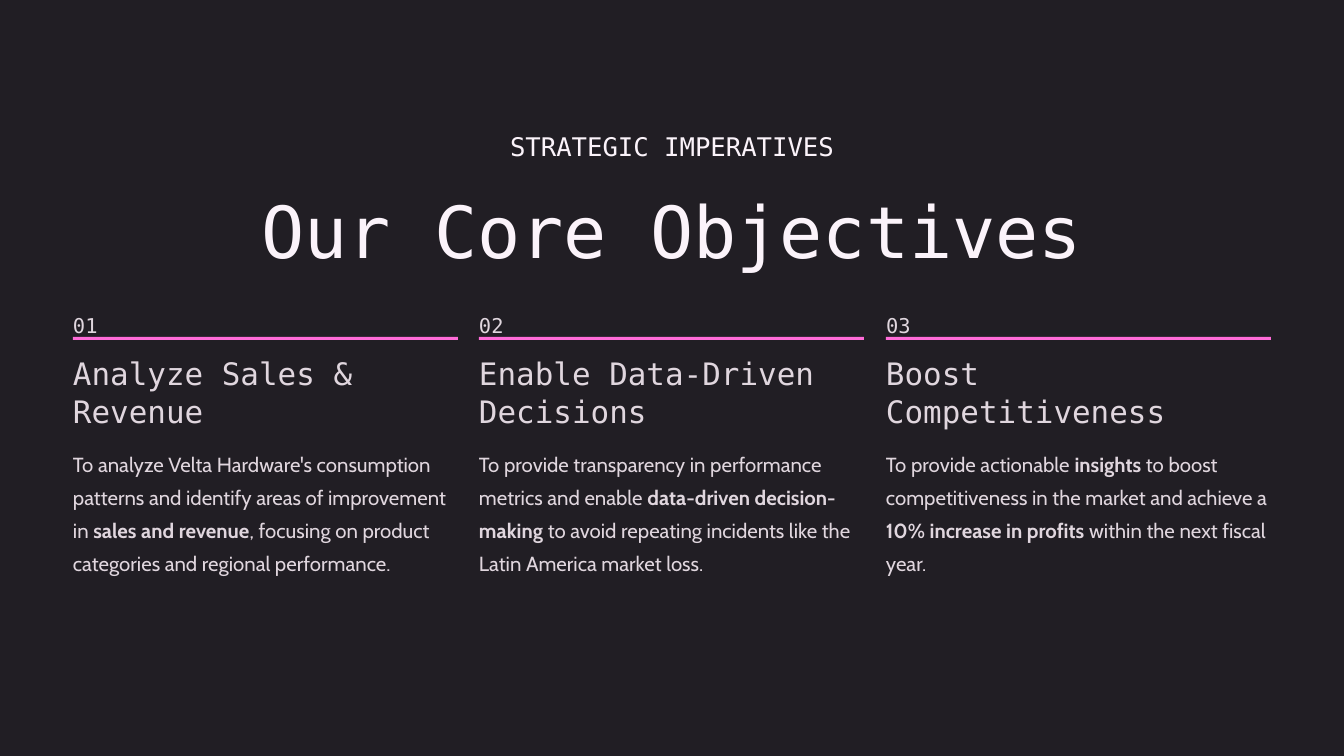
from dataclasses import dataclass

import pptx
import pptx.dml.color
import pptx.enum.shapes
import pptx.enum.text
import pptx.slide
import pptx.util

ALIGN = pptx.enum.text.PP_ALIGN


@dataclass(frozen=True)
class TextStyle:
    font: str
    size: float
    leading: float
    color: str
    align: ALIGN = ALIGN.LEFT


@dataclass(frozen=True)
class Theme:
    background: str = "211E24"
    accent: str = "FF6BD8"
    bright: str = "FBF3FA"
    soft: str = "E0D6DE"
    mono: str = "DejaVu Sans Mono"
    sans: str = "Cabin"

    @property
    def eyebrow(self) -> TextStyle:
        return TextStyle(self.mono, 22, 27.5, self.bright, ALIGN.CENTER)

    @property
    def title(self) -> TextStyle:
        return TextStyle(self.mono, 61.5, 77, self.bright, ALIGN.CENTER)

    @property
    def number(self) -> TextStyle:
        return TextStyle(self.mono, 17.5, 28.5, self.soft)

    @property
    def heading(self) -> TextStyle:
        return TextStyle(self.mono, 26.5, 33, self.soft)

    @property
    def body(self) -> TextStyle:
        return TextStyle(self.sans, 17.5, 28.5, self.soft)


@dataclass(frozen=True)
class Box:
    x: int
    y: int
    w: int
    h: int

    def emu(self) -> list[int]:
        return [px(v) for v in (self.x, self.y, self.w, self.h)]


@dataclass(frozen=True)
class Run:
    text: str
    bold: bool = False


@dataclass(frozen=True)
class Objective:
    heading: str
    body: tuple[Run, ...]
    body_height: int = 166


THEME = Theme()
PX_PER_INCH = 84
SLIDE = Box(0, 0, 1344, 756)

OBJECTIVES = (
    Objective("Analyze Sales & Revenue", (
        Run("To analyze Velta Hardware's consumption patterns and identify "
            "areas of improvement in "),
        Run("sales and revenue", True),
        Run(", focusing on product categories and regional performance."),
    )),
    Objective("Enable Data-Driven Decisions", (
        Run("To provide transparency in performance metrics and enable "),
        Run("data-driven decision-making", True),
        Run(" to avoid repeating incidents like the Latin America market loss."),
    )),
    Objective("Boost Competitiveness", (
        Run("To provide actionable "),
        Run("insights", True),
        Run(" to boost competitiveness in the market and achieve a "),
        Run("10% increase in profits", True),
        Run(" within the next fiscal year."),
    ), 134),
)

# Equal columns between the side margins
MARGIN, GAP = 73, 21
COLUMN_PITCH = (SLIDE.w - 2 * MARGIN + GAP) / len(OBJECTIVES)
COLUMN_WIDTH = round(COLUMN_PITCH - GAP)


def px(value: int) -> int:
    return round(value * 914400 / PX_PER_INCH)


def rgb(color: str) -> pptx.dml.color.RGBColor:
    return pptx.dml.color.RGBColor.from_string(color)


def add_text(s: pptx.slide.Slide, box: Box, style: TextStyle, *runs: Run) -> None:
    tf = s.shapes.add_textbox(*box.emu()).text_frame
    tf.margin_left = tf.margin_top = tf.margin_right = tf.margin_bottom = 0
    tf.word_wrap = True
    p = tf.paragraphs[0]
    p.alignment = style.align
    p.line_spacing = pptx.util.Pt(style.leading)
    for run in runs:
        r = p.add_run()
        r.text = run.text
        r.font.name = style.font
        r.font.size = pptx.util.Pt(style.size)
        r.font.bold = run.bold
        r.font.color.rgb = rgb(style.color)


def add_rect(s: pptx.slide.Slide, box: Box, color: str) -> None:
    sp = s.shapes.add_shape(pptx.enum.shapes.MSO_SHAPE.RECTANGLE, *box.emu())
    sp.shadow.inherit = False
    sp.fill.solid()
    sp.fill.fore_color.rgb = rgb(color)
    sp.line.fill.background()


def add_objective(s: pptx.slide.Slide, index: int, objective: Objective) -> None:
    x, w = MARGIN + round(index * COLUMN_PITCH), COLUMN_WIDTH
    add_text(s, Box(x, 304, 30, 26), THEME.number, Run(f"{index + 1:02}"))
    add_rect(s, Box(x, 337, w, 3), THEME.accent)
    add_text(s, Box(x, 353, w, 78), THEME.heading, Run(objective.heading))
    add_text(s, Box(x, 443, w, objective.body_height), THEME.body, *objective.body)


def main() -> None:
    prs = pptx.Presentation()
    prs.slide_width, prs.slide_height = px(SLIDE.w), px(SLIDE.h)
    s = prs.slides.add_slide(prs.slide_layouts[6])

    # Background
    add_rect(s, SLIDE, THEME.background)

    # Title block
    add_text(s, Box(502, 130, 340, 33), THEME.eyebrow, Run("STRATEGIC IMPERATIVES"))
    add_text(s, Box(252, 183, 840, 90), THEME.title, Run("Our Core Objectives"))

    # Objective columns
    for index, objective in enumerate(OBJECTIVES):
        add_objective(s, index, objective)

    prs.save("out.pptx")


if __name__ == "__main__":
    main()
